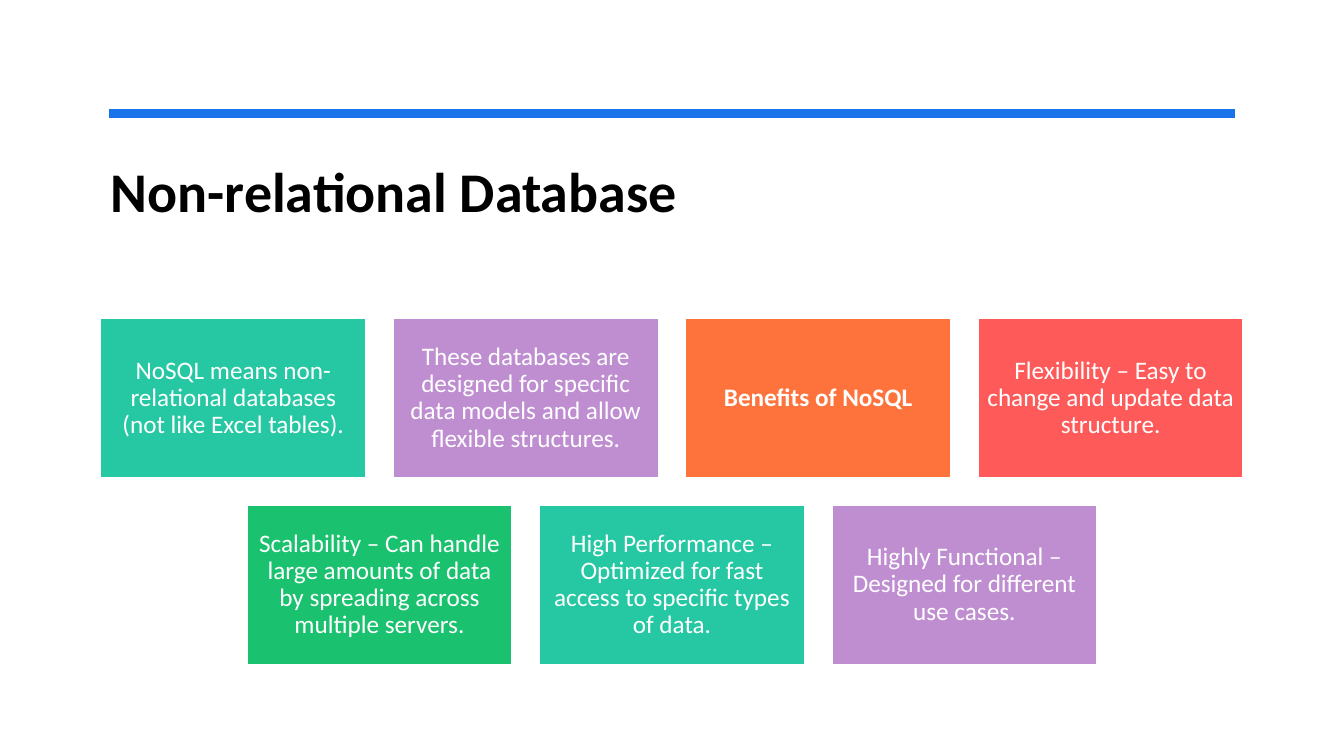
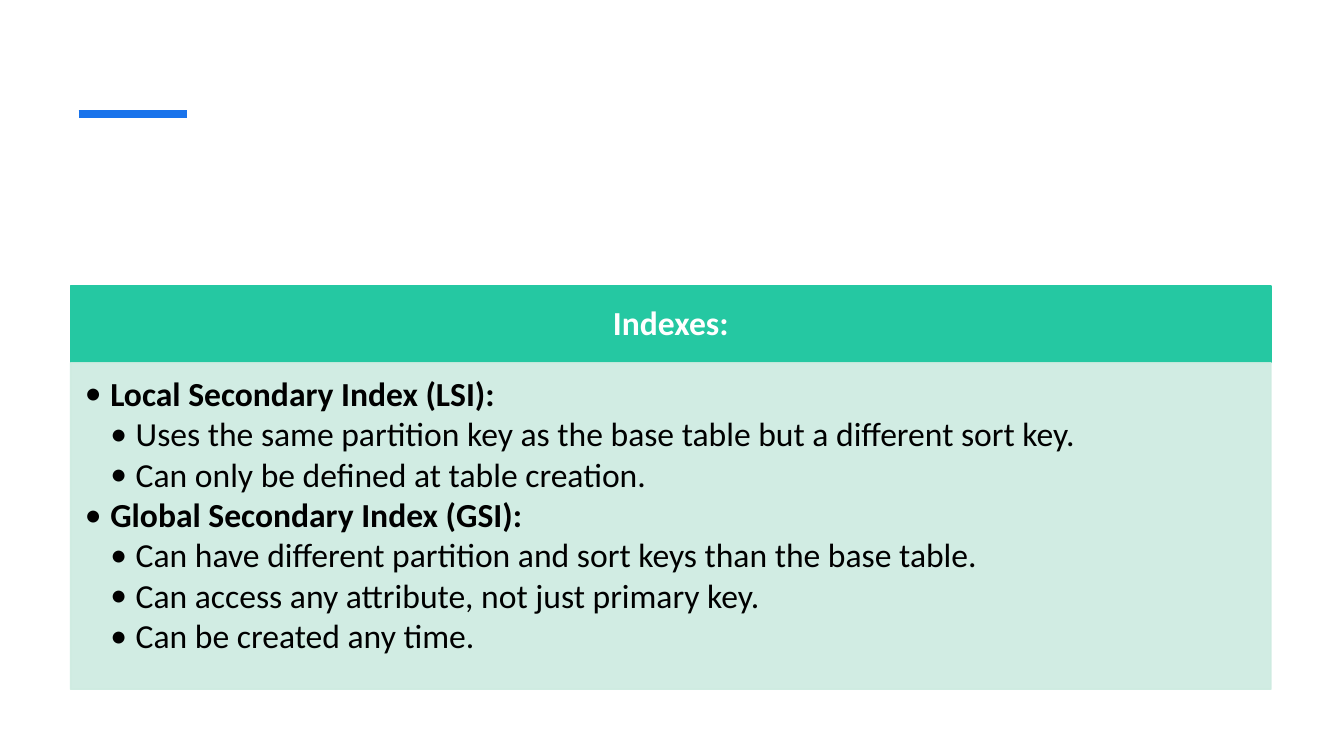
from lxml import etree
from pptx import Presentation
from pptx.dml.color import RGBColor
from pptx.enum import shapes, text
from pptx.oxml import ns
from pptx.util import Cm, Pt

WIDE, HIGH = 33.87, 19.05
BLUE, TEAL, MINT = "1973EB", "25C8A2", "CDEBE0"
PLUM, FLAME, CORAL, GREEN = "BF8ED1", "FE733C", "FE5A5A", "1AC16E"
BLACK, WHITE = "000000", "FFFFFF"

TILES = [
    [
        ("NoSQL means non-relational databases (not like Excel tables).", TEAL, False),
        ("These databases are designed for specific data models and allow flexible structures.", PLUM, False),
        ("Benefits of NoSQL", FLAME, True),
        ("Flexibility – Easy to change and update data structure.", CORAL, False),
    ],
    [
        ("Scalability – Can handle large amounts of data by spreading across multiple servers.", GREEN, False),
        ("High Performance – Optimized for fast access to specific types of data.", TEAL, False),
        ("Highly Functional – Designed for different use cases.", PLUM, False),
    ],
]

POINTS = [
    (0, "Local Secondary Index (LSI):"),
    (1, "Uses the same partition key as the base table but a different sort key."),
    (1, "Can only be defined at table creation."),
    (0, "Global Secondary Index (GSI):"),
    (1, "Can have different partition and sort keys than the base table."),
    (1, "Can access any attribute, not just primary key."),
    (1, "Can be created any time."),
]


def tint(code):
    return RGBColor.from_string(code)


class Deck:
    font = "Calibri"

    def __init__(self):
        self.prs = Presentation()
        self.prs.slide_width, self.prs.slide_height = Cm(WIDE), Cm(HIGH)
        self.page = None

    def add(self, kind):
        layout = self.prs.slide_layouts[kind]
        self.page = self.prs.slides.add_slide(layout)

    def place(self, shape, area):
        shape.left, shape.top, shape.width, shape.height = map(Cm, area)

    def paint(self, shape, fill, edge, clear=None):
        shape.fill.solid()
        shape.fill.fore_color.rgb = tint(fill)
        shape.line.color.rgb = tint(edge)
        shape.line.width = Pt(1)
        if clear:
            for node in shape._element.spPr.iter(ns.qn("a:srgbClr")):
                etree.SubElement(node, ns.qn("a:alpha"), val=str(clear * 1000))

    def frame(self, shape, pads, anchor):
        box = shape.text_frame
        box.word_wrap = True
        box.auto_size = text.MSO_AUTO_SIZE.NONE
        box.vertical_anchor = anchor
        box.margin_left, box.margin_top, box.margin_right, box.margin_bottom = map(Cm, pads)
        return box

    def words(self, para, line, size, code, bold=False, align=text.PP_ALIGN.LEFT, space=0.9):
        para.alignment = align
        para.line_spacing = space
        para.space_before = Pt(0)
        run = para.add_run()
        run.text = line
        run.font.name, run.font.size, run.font.bold = self.font, Pt(size), bold
        run.font.color.rgb = tint(code)

    def title(self, line, area):
        shape = self.page.shapes.title
        self.place(shape, area)
        box = self.frame(shape, (0.25, 0.13, 0.25, 0.13), text.MSO_ANCHOR.TOP)
        self.words(box.paragraphs[0], line, 40, BLACK, True, space=1.0)

    def band(self, line, area):
        shape = self.page.shapes.title
        self.place(shape, area)
        self.paint(shape, TEAL, TEAL)
        box = self.frame(shape, (0.48, 0.28, 0.48, 0.28), text.MSO_ANCHOR.MIDDLE)
        self.words(box.paragraphs[0], line, 24, WHITE, True, text.PP_ALIGN.CENTER)

    def rule(self, start, end, top):
        line = self.page.shapes.add_connector(
            shapes.MSO_CONNECTOR.STRAIGHT, Cm(start), Cm(top), Cm(end), Cm(top))
        line.line.color.rgb = tint(BLUE)
        line.line.width = Pt(6)
        etree.SubElement(line._element.spPr, ns.qn("a:effectLst"))

    def tile(self, line, fill, bold, area):
        shape = self.page.shapes.add_shape(shapes.MSO_SHAPE.RECTANGLE, *map(Cm, area))
        shape.shadow.inherit = False
        self.paint(shape, fill, WHITE)
        box = self.frame(shape, [0.18] * 4, text.MSO_ANCHOR.MIDDLE)
        self.words(box.paragraphs[0], line, 18, WHITE, bold, text.PP_ALIGN.CENTER)

    def grid(self, rows, top, wide, high, gap):
        for row, tiles in enumerate(rows):
            span = len(tiles) * (wide + gap) - gap
            left = (WIDE - span) / 2
            for col, tile in enumerate(tiles):
                spot = (left + col * (wide + gap), top + row * (high + gap))
                self.tile(*tile, (*spot, wide, high))

    def list(self, points, area):
        shape = self.page.placeholders[1]
        self.place(shape, area)
        self.paint(shape, MINT, MINT, 90)
        box = self.frame(shape, (0.36, 0.36, 0.48, 0.53), text.MSO_ANCHOR.TOP)
        for index, (level, line) in enumerate(points):
            para = box.add_paragraph() if index else box.paragraphs[0]
            para.level = level
            self.words(para, line, 24, BLACK, level == 0)
            para.space_after = Pt(3)
            props = para._p.get_or_add_pPr()
            props.set("marL", str(Cm(0.64 * (level + 1))))
            props.set("indent", str(-Cm(0.64)))
            etree.SubElement(props, ns.qn("a:buFont"), typeface=self.font)
            etree.SubElement(props, ns.qn("a:buChar"), char="•")


def main():
    deck = Deck()

    deck.add(5)
    deck.title("Non-relational Database", (2.54, 3.81, 28.78, 3.18))
    deck.rule(2.74, 31.12, 2.86)
    deck.grid(TILES, 8.03, 6.68, 4.01, 0.69)

    deck.add(1)
    deck.rule(1.98, 4.7, 2.87)
    left, top, wide, high = 1.78, 7.21, 30.25, 1.93
    deck.band("Indexes:", (left, top, wide, high))
    deck.list(POINTS, (left, top + high, wide, 8.23))

    deck.prs.save("out.pptx")


if __name__ == "__main__":
    main()
